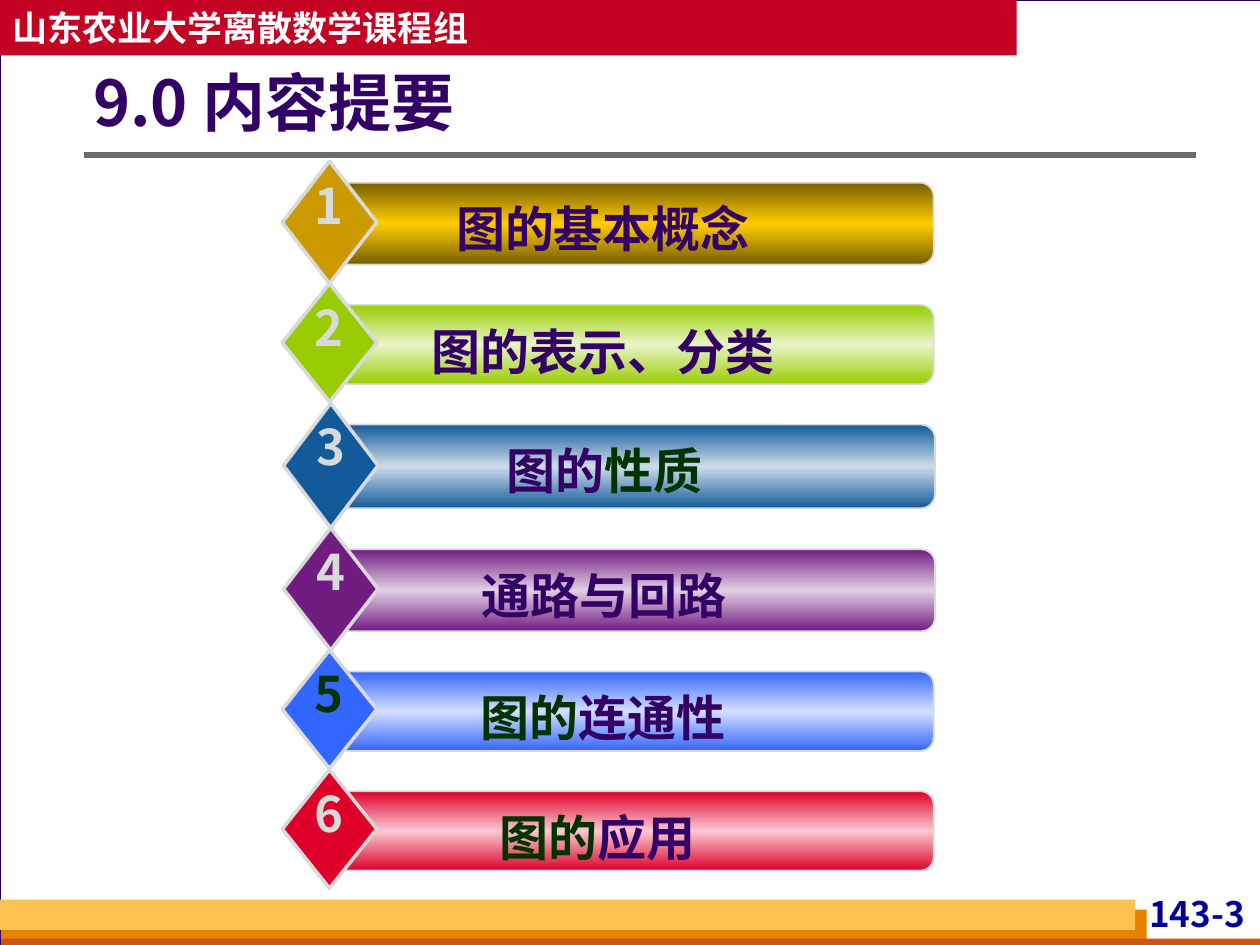
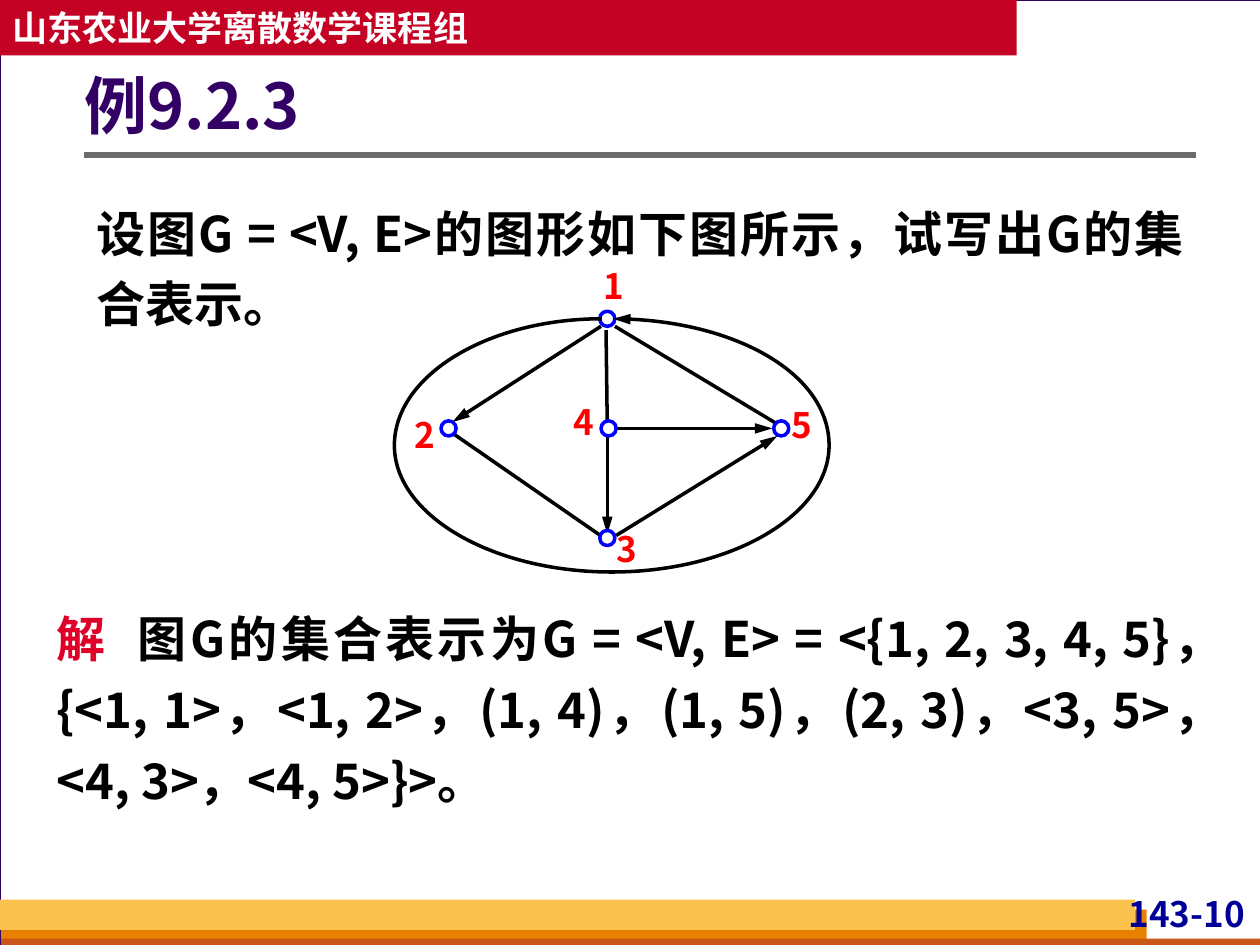
import copy
from dataclasses import dataclass

import lxml.etree
import pptx
import pptx.dml.color
import pptx.enum.shapes
import pptx.enum.text
import pptx.oxml.ns
import pptx.util

Inches = pptx.util.Inches
Pt = pptx.util.Pt
SHAPE = pptx.enum.shapes.MSO_SHAPE
ALIGN = pptx.enum.text.PP_ALIGN
ANCHOR = pptx.enum.text.MSO_ANCHOR
FIT = pptx.enum.text.MSO_AUTO_SIZE
qn = pptx.oxml.ns.qn


@dataclass(frozen=True)
class Theme:
    font: str = "Noto Sans CJK SC"
    small: int = 20
    body: int = 28
    title: int = 36
    white: str = "FFFFFF"
    black: str = "000000"
    silver: str = "D8DADA"
    violet: str = "330066"
    green: str = "003300"
    navy: str = "000099"
    blue: str = "0000FF"
    red: str = "FF0000"
    crimson: str = "DF0029"
    banner: str = "C30224"
    rule: str = "6B6B6B"
    band_light: str = "FCC24F"
    band_mid: str = "E88000"
    band_dark: str = "C95616"


THEME = Theme()


def rgb(code):
    return pptx.dml.color.RGBColor.from_string(code)


def style_line(line, color, width):
    line.color.rgb = rgb(color)
    line.width = Pt(width)


def add_arrowhead(line, end):
    """End is headEnd (start of the line) or tailEnd (its finish)."""
    head = lxml.etree.SubElement(line._get_or_add_ln(), qn("a:" + end))
    for key, value in (("type", "triangle"), ("w", "med"), ("len", "lg")):
        head.set(key, value)


def add_box(page, kind, box, fill=None, line=None, width=1):
    shape = page.shapes.add_shape(kind, *map(Inches, box))
    shape.shadow.inherit = False
    if fill:
        shape.fill.solid()
        shape.fill.fore_color.rgb = rgb(fill)
    if line:
        style_line(shape.line, line, width)
    else:
        shape.line.fill.background()
    return shape


def add_line(page, start, end, color, width, arrow=False):
    line = page.shapes.add_connector(
        pptx.enum.shapes.MSO_CONNECTOR.STRAIGHT, *map(Inches, (*start, *end)))
    style_line(line.line, color, width)
    if arrow:
        add_arrowhead(line.line, "tailEnd")
    lxml.etree.SubElement(line._element.spPr, qn("a:effectLst"))
    return line


def write_text(shape, spans, size=THEME.body, align=ALIGN.LEFT, anchor=ANCHOR.TOP,
               insets=(0.1, 0.05, 0.1, 0.05), wrap=True, grow=False, spacing=None):
    """Fill a shape with one paragraph of (text, colour) spans."""
    frame = shape.text_frame
    frame.word_wrap = wrap
    frame.auto_size = FIT.SHAPE_TO_FIT_TEXT if grow else FIT.NONE
    frame.vertical_anchor = anchor
    (frame.margin_left, frame.margin_top,
     frame.margin_right, frame.margin_bottom) = map(Inches, insets)
    para = frame.paragraphs[0]
    para.alignment = align
    if spacing:
        para.line_spacing = spacing
    for text, color in spans:
        span = para.add_run()
        span.text = text
        span.font.name = THEME.font
        span.font.size = Pt(size)
        span.font.bold = True
        span.font.color.rgb = rgb(color)
        east_asian = lxml.etree.SubElement(span._r.get_or_add_rPr(), qn("a:ea"))
        east_asian.set("typeface", THEME.font)


def add_text(page, box, spans, **text_format):
    write_text(page.shapes.add_textbox(*map(Inches, box)), spans, **text_format)


def add_page(deck, number, title, title_box):
    """Add a page with the shared frame, bands, banner, number and title."""
    page = deck.slides.add_slide(deck.slide_layouts[6])
    page.background.fill.solid()
    page.background.fill.fore_color.rgb = rgb(THEME.silver)
    add_box(page, SHAPE.RECTANGLE, (0, 0, 10.01, 7.5), THEME.white, THEME.violet, 0.75)
    for box, color in (((0.01, 7.22, 9.09, 0.28), THEME.band_mid),
                       ((0.01, 7.45, 10, 0.08), THEME.band_dark),
                       ((0, 7.14, 9.01, 0.24), THEME.band_light)):
        add_box(page, SHAPE.RECTANGLE, box, color)
    add_text(page, (8.7, 7.08, 1.22, 0.38), [(number, THEME.navy)], size=THEME.small,
             align=ALIGN.RIGHT, insets=(0.04, 0, 0.04, 0), grow=True)
    add_line(page, (0.67, 1.23), (9.49, 1.23), THEME.rule, 3)
    banner = add_box(page, SHAPE.RECTANGLE, (0, 0, 8.07, 0.44), THEME.banner)
    write_text(banner, [("山东农业大学离散数学课程组", THEME.white)], size=THEME.small,
               anchor=ANCHOR.MIDDLE, wrap=False)
    add_text(page, title_box, [(title, THEME.violet)], size=THEME.title,
             anchor=ANCHOR.MIDDLE, insets=(0, 0.05, 0.1, 0.05), spacing=0.9)
    return page


def fill_gradient(shape, edge, middle):
    """Vertical blend from edge to middle and back to edge."""
    shape.fill.gradient()
    shape.fill.gradient_angle = 90
    stops = shape._element.spPr.find(".//" + qn("a:gsLst"))
    stops.insert(1, copy.deepcopy(stops[0]))
    for stop, color, position in zip(shape.fill.gradient_stops,
                                     (edge, middle, edge), (0, 0.5, 1)):
        stop.color.rgb = rgb(color)
        stop.position = position


def add_topic(page, box, number, number_color, spans, diamond, edge, middle):
    left, top, width, height = box
    bar = add_box(page, SHAPE.ROUNDED_RECTANGLE,
                  (left + 0.42, top + 0.17, width - 0.42, height * 0.67),
                  line=THEME.silver)
    fill_gradient(bar, edge, middle)
    add_box(page, SHAPE.DIAMOND, (left, top, 0.75, height), diamond, THEME.silver, 2)
    add_text(page, (left + 0.67, top + 0.25, 3.75, 0.57), spans,
             align=ALIGN.CENTER, grow=True)
    add_text(page, (left + 0.16, top + 0.06, 0.42, 0.57), [(number, number_color)],
             align=ALIGN.CENTER, wrap=False, grow=True)


def build_contents(deck):
    page = add_page(deck, "143-3", "9.0 内容提要", (0.74, 0.46, 8.68, 0.77))
    violet, green, silver = THEME.violet, THEME.green, THEME.silver
    topics = (
        (2.24, 1.28, 0.97, silver, [("图的基本概念", violet)],
         "CC9900", "765E00", "FFCC00"),
        (2.24, 2.25, 0.94, silver, [("图的表示、分类", violet)],
         "99CC00", "99CC00", "E9F4C9"),
        (2.25, 3.2, 0.99, silver, [("图的", violet), ("性质", green)],
         "135A9A", "135A9A", "CDDCEA"),
        (2.25, 4.19, 0.97, silver, [("通路与回路", violet)],
         "711C81", "711C81", "E1CFE4"),
        (2.24, 5.16, 0.94, green, [("图的", green), ("连通性", violet)],
         "3366FF", "3366FF", "D4DFFF"),
        (2.24, 6.11, 0.94, silver, [("图的", green), ("应用 ", violet)],
         THEME.crimson, THEME.crimson, "F8C9D2"),
    )
    for number, (left, top, height, *look) in enumerate(topics, 1):
        add_topic(page, (left, top, 5.17, height), str(number), *look)


def add_loop(page, left, top, width, height):
    """Draw the self-loop of node 1: four quarter curves, arrow at the start."""
    corners = [(Inches(left + x), Inches(top + y)) for x, y in (
        (width / 2 + 0.01, 0), (width, height / 2), (width / 2, height),
        (0, height / 2), (width / 2 - 0.08, 0))]
    builder = page.shapes.build_freeform(*corners[0])
    builder.add_line_segments(corners[1:], close=False)
    loop = builder.convert_to_shape()
    loop.shadow.inherit = False
    loop.fill.background()
    style_line(loop.line, THEME.black, 2)
    add_arrowhead(loop.line, "headEnd")

    bend = 0.55
    segments = loop._element.spPr.findall(".//" + qn("a:lnTo"))
    for index, segment in enumerate(segments):
        (x1, y1), (x2, y2) = corners[index:index + 2]
        dx, dy = (x2 - x1) * bend, (y2 - y1) * bend
        if index % 2 == 0:
            controls = ((x1 + dx, y1), (x2, y2 - dy))
        else:
            controls = ((x1, y1 + dy), (x2 - dx, y2))
        segment.tag = qn("a:cubicBezTo")
        for place, (x, y) in enumerate(controls):
            point = lxml.etree.Element(qn("a:pt"))
            point.set("x", str(round(x - loop.left)))
            point.set("y", str(round(y - loop.top)))
            segment.insert(place, point)


def add_graph(page, left, top):
    def place(x, y):
        return left + x, top + y

    edges = (((1.75, 0.49), (3.03, 1.26), False), ((1.69, 1.36), (1.69, 2.14), True),
             ((1.68, 0.52), (1.69, 1.29), False), ((1.64, 0.49), (0.46, 1.25), True),
             ((1.76, 2.15), (3.04, 1.36), True), ((1.76, 1.3), (3, 1.3), True),
             ((0.45, 1.33), (1.65, 2.16), False))
    nodes = (("1", (1.63, 0.37), (1.66, 0)), ("2", (0.37, 1.24), (0.16, 1.18)),
             ("3", (1.63, 2.11), (1.76, 2.09)), ("4", (1.64, 1.24), (1.42, 1.08)),
             ("5", (3.01, 1.24), (3.15, 1.1)))
    for start, end, directed in edges:
        add_line(page, place(*start), place(*end), THEME.black, 2, directed)
    for name, ring, label in nodes:
        add_box(page, SHAPE.OVAL, (*place(*ring), 0.12, 0.12), THEME.white, THEME.blue, 2)
        add_text(page, (*place(*label), 0.16, 0.33), [(name, THEME.red)],
                 size=THEME.small, align=ALIGN.CENTER, insets=(0, 0, 0, 0), grow=True)
    add_loop(page, *place(0, 0.43), 3.45, 2.01)


def build_example(deck):
    page = add_page(deck, "143-10", "例9.2.3", (0.67, 0.36, 8.82, 1.01))
    add_text(page, (0.67, 1.47, 8.82, 1.22),
             [("设图G = <V, E>的图形如下图所示，试写出G的集合表示。 ", THEME.black)],
             align=ALIGN.JUSTIFY, spacing=1.2)
    add_graph(page, 3.13, 2.1)
    add_text(page, (0.35, 4.69, 9.45, 1.78),
             [("解 ", THEME.crimson),
              (" 图G的集合表示为G = <V, E> = <{1, 2, 3, 4, 5}，{<1, 1>，<1, 2>，(1, 4)，"
               "(1, 5)，(2, 3)，<3, 5>，<4, 3>，<4, 5>}>。 ", THEME.black)],
             align=ALIGN.JUSTIFY, grow=True, spacing=1.2)


def main():
    deck = pptx.Presentation()
    deck.slide_width, deck.slide_height = Inches(10), Inches(7.5)
    build_contents(deck)
    build_example(deck)
    deck.save("out.pptx")


if __name__ == "__main__":
    main()
